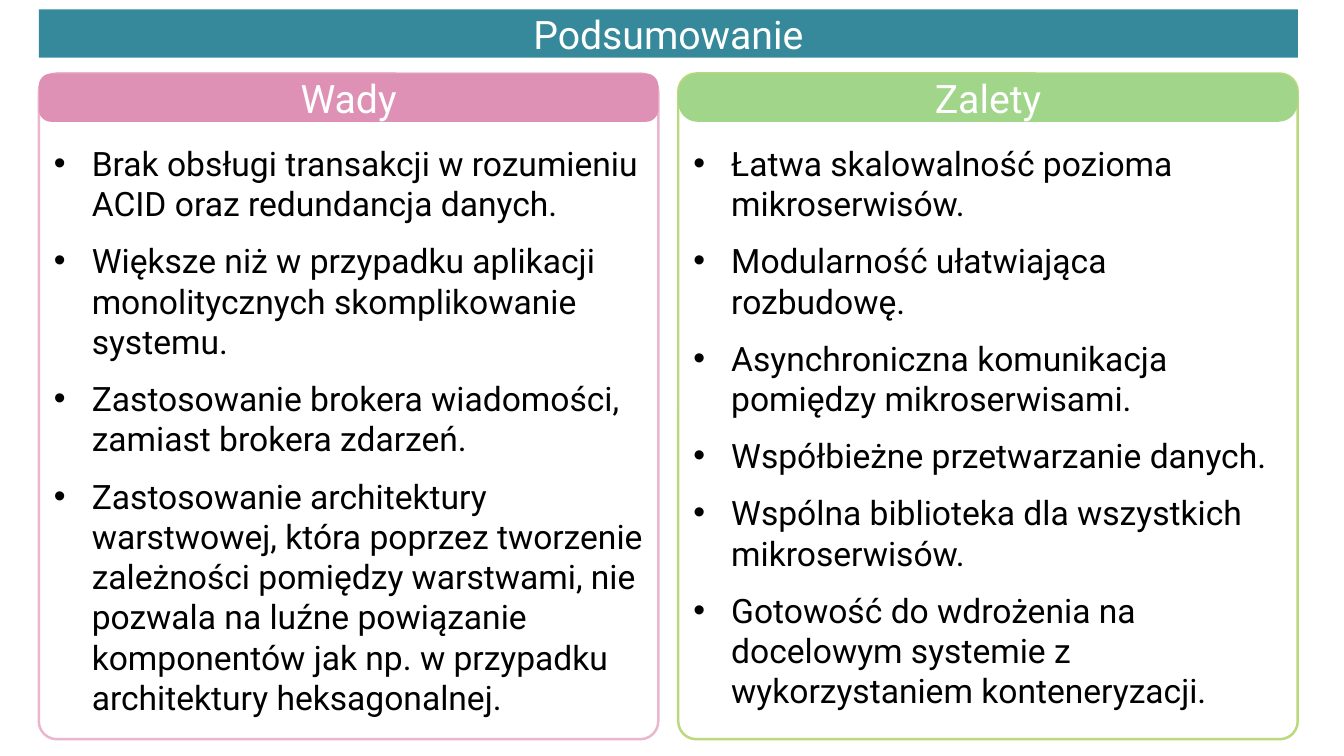
from lxml import etree
from pptx import Presentation
from pptx import util as u
from pptx.dml.color import RGBColor
from pptx.enum import shapes, text
from pptx.oxml import ns

PX = 9525  # EMU per px, 96 px to the inch
FONT = "Roboto"
COLORS = {
    "white": "FFFFFF", "black": "000000", "teal": "36899A",
    "pink": "DE91B5", "pink_edge": "E9B6CE",
    "green": "A0D58A", "green_edge": "BCD87C",
}
LEFT, COLUMN_STEP, COLUMN_WIDTH = 37, 609, 590
TITLE_TOP, COLUMN_TOP, COLUMN_HEIGHT, BAR_HEIGHT = 9, 70, 634, 46
LIST_TOP, BULLET_INDENT = 61, 36

COLUMNS = [
    ("Wady", "pink", 0.253, [
        "Brak obsługi transakcji w rozumieniu ACID oraz redundancja danych.",
        "Większe niż w przypadku aplikacji monolitycznych skomplikowanie systemu.",
        "Zastosowanie brokera wiadomości, zamiast brokera zdarzeń.",
        "Zastosowanie architektury warstwowej, która poprzez tworzenie zależności "
        "pomiędzy warstwami, nie pozwala na luźne powiązanie komponentów jak np. "
        "w przypadku architektury heksagonalnej.",
    ]),
    ("Zalety", "green", 0.398, [
        "Łatwa skalowalność pozioma mikroserwisów.",
        "Modularność ułatwiająca rozbudowę.",
        "Asynchroniczna komunikacja pomiędzy mikroserwisami.",
        "Współbieżne przetwarzanie danych.",
        "Wspólna biblioteka dla wszystkich mikroserwisów.",
        "Gotowość do wdrożenia na docelowym systemie z wykorzystaniem konteneryzacji.",
    ]),
]


def color(name):
    return RGBColor.from_string(COLORS[name])


def paint(shape, fill, edge=None):
    shape.fill.solid()
    shape.fill.fore_color.rgb = color(fill)
    if edge:
        shape.line.color.rgb = color(edge)
        shape.line.width = u.Pt(1.75)
    else:
        shape.line.fill.background()


def format_runs(paragraph, size, ink):
    for run in paragraph.runs:
        run.font.name = FONT
        run.font.size = u.Pt(size)
        run.font.color.rgb = color(ink)


def rounded(slide, x, y, width, height, rounding):
    box = slide.shapes.add_shape(
        shapes.MSO_SHAPE.ROUNDED_RECTANGLE,
        x * PX, y * PX, width * PX, height * PX)
    box.adjustments[0] = rounding
    box.shadow.inherit = False
    return box


def write_heading(bar, wording):
    frame = bar.text_frame
    frame.text = wording
    frame.word_wrap = True
    frame.auto_size = text.MSO_AUTO_SIZE.NONE
    frame.vertical_anchor = text.MSO_ANCHOR.MIDDLE
    frame.margin_top = frame.margin_bottom = 0
    heading = frame.paragraphs[0]
    heading.alignment = text.PP_ALIGN.CENTER
    format_runs(heading, 28, "white")


def add_bullet(paragraph):
    properties = paragraph._p.get_or_add_pPr()
    properties.set("marL", str(BULLET_INDENT * PX))
    properties.set("indent", str(-BULLET_INDENT * PX))
    etree.SubElement(properties, ns.qn("a:buFont"), typeface="Arial")
    etree.SubElement(properties, ns.qn("a:buChar"), char="•")


def write_list(panel, points):
    frame = panel.text_frame
    frame.word_wrap = True
    frame.vertical_anchor = text.MSO_ANCHOR.TOP
    frame.margin_top = LIST_TOP * PX
    for index, point in enumerate(points):
        paragraph = frame.add_paragraph() if index else frame.paragraphs[0]
        paragraph.text = point
        paragraph.alignment = text.PP_ALIGN.LEFT
        paragraph.space_after = u.Pt(12)
        add_bullet(paragraph)
        format_runs(paragraph, 24, "black")


def add_title(slide, wording):
    title = slide.shapes.title
    title.left, title.top = LEFT * PX, TITLE_TOP * PX
    title.width, title.height = (COLUMN_STEP + COLUMN_WIDTH) * PX, BAR_HEIGHT * PX
    # Rounded outline for the placeholder
    outline = etree.SubElement(title.element.spPr, ns.qn("a:prstGeom"), prst="roundRect")
    etree.SubElement(outline, ns.qn("a:avLst"))
    paint(title, "teal")
    write_heading(title, wording)


def add_column(slide, x, heading, hue, rounding, points):
    panel = rounded(slide, x, COLUMN_TOP, COLUMN_WIDTH, COLUMN_HEIGHT, 0.029)
    paint(panel, "white", hue + "_edge")
    write_list(panel, points)
    bar = rounded(slide, x, COLUMN_TOP, COLUMN_WIDTH, BAR_HEIGHT, rounding)
    paint(bar, hue)
    write_heading(bar, heading)


def main():
    deck = Presentation()
    deck.slide_width, deck.slide_height = 1280 * PX, 720 * PX
    slide = deck.slides.add_slide(deck.slide_layouts.get_by_name("Title Only"))

    # Title bar
    add_title(slide, "Podsumowanie")

    # Drawbacks and advantages side by side
    for index, column in enumerate(COLUMNS):
        add_column(slide, LEFT + index * COLUMN_STEP, *column)

    deck.save("out.pptx")


if __name__ == "__main__":
    main()
